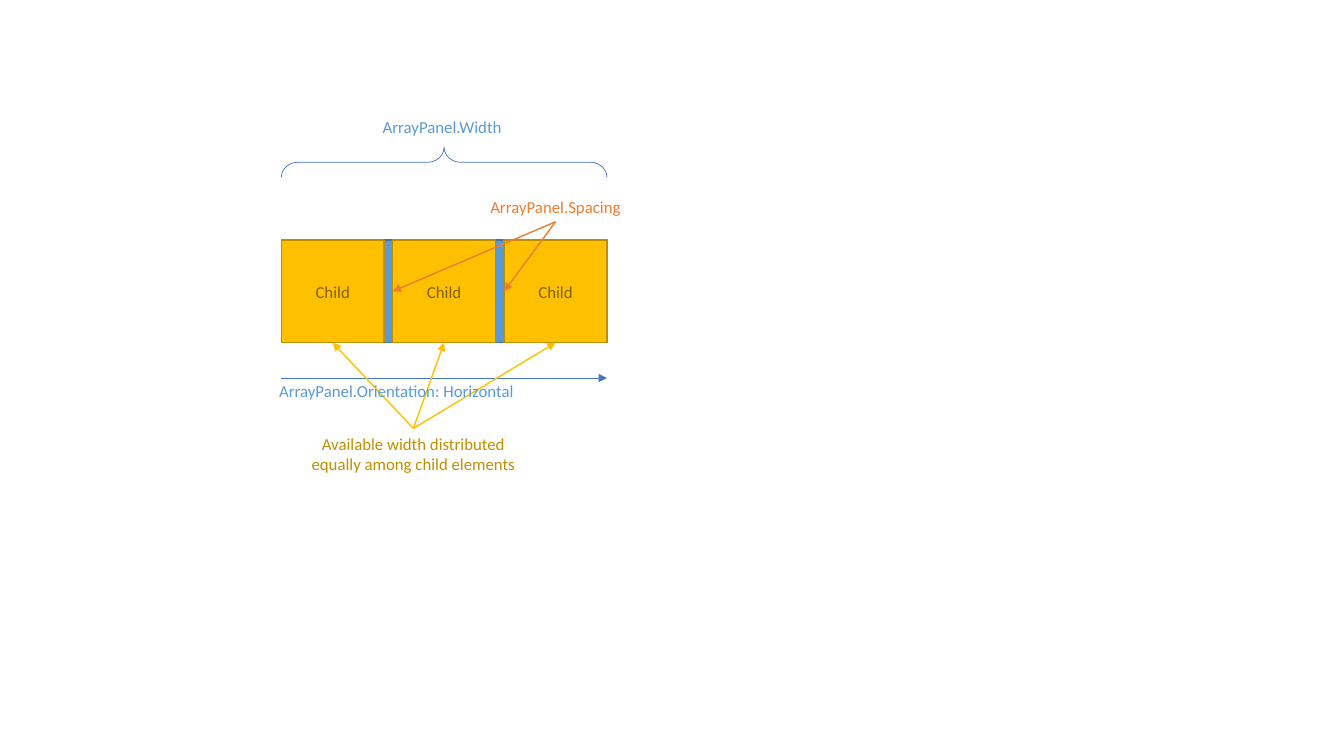
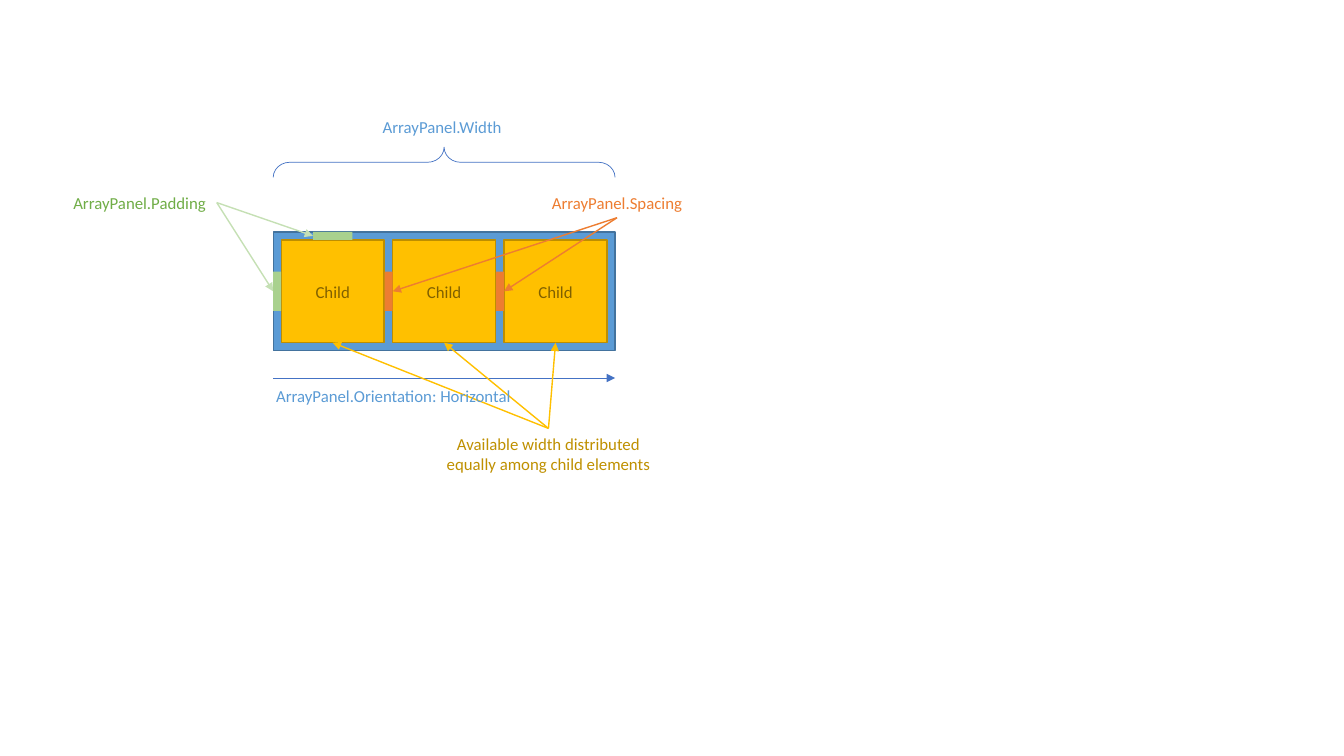
from pptx import Presentation
from pptx.dml.color import RGBColor
from pptx.enum.shapes import MSO_CONNECTOR as CONN, MSO_SHAPE as SHAPE
from pptx.enum.text import MSO_ANCHOR as ANCHOR, MSO_AUTO_SIZE as AUTO, PP_ALIGN as ALIGN
from pptx.oxml.xmlchemy import OxmlElement
from pptx.util import Inches, Pt

BLUE = RGBColor(0x5B, 0x9B, 0xD5)
BLUE_EDGE = RGBColor(0x43, 0x73, 0x9E)
AXIS = RGBColor(0x44, 0x72, 0xC4)
GOLD = RGBColor(0xFF, 0xC0, 0x00)
GOLD_EDGE = RGBColor(0xBD, 0x8E, 0x00)
GOLD_TEXT = RGBColor(0xBF, 0x90, 0x00)
BROWN = RGBColor(0x80, 0x60, 0x00)
ORANGE = RGBColor(0xED, 0x7D, 0x31)
GREEN = RGBColor(0x70, 0xAD, 0x47)
GREEN_PATCH = RGBColor(0xA9, 0xD1, 0x8E)
GREEN_LINE = RGBColor(0xC5, 0xE0, 0xB4)

CHILD, GAP, LEFT, TOP = 1.02, 0.085, 2.79, 2.38
CHILD_X = [LEFT + i * (CHILD + GAP) for i in range(3)]
ROW_W = 3 * CHILD + 2 * GAP
MIDDLE, BOTTOM = TOP + CHILD / 2, TOP + CHILD
PATCH, PATCH_W = 0.39, 0.08


def write(tf, text, color, align=ALIGN.CENTER, size=12, font="Calibri"):
    for i, line in enumerate(text.split("\n")):
        p = tf.paragraphs[0] if i == 0 else tf.add_paragraph()
        p.alignment = align
        r = p.add_run()
        r.text = line
        r.font.size, r.font.name, r.font.color.rgb = Pt(size), font, color


class Diagram:
    """Draws panel diagrams on the current slide in one shared style."""

    def __init__(self, prs):
        self.prs = prs
        self.s = None

    def new_slide(self):
        self.s = self.prs.slides.add_slide(self.prs.slide_layouts[6])

    def rect(self, x, y, w, h, fill, edge=None):
        sp = self.s.shapes.add_shape(SHAPE.RECTANGLE, Inches(x), Inches(y), Inches(w), Inches(h))
        sp.shadow.inherit = False
        sp.fill.solid()
        sp.fill.fore_color.rgb = fill
        if edge is None:
            sp.line.fill.background()
        else:
            sp.line.color.rgb, sp.line.width = edge, Pt(1)
        return sp

    def children(self):
        for x in CHILD_X:
            tf = self.rect(x, TOP, CHILD, CHILD, GOLD, GOLD_EDGE).text_frame
            tf.vertical_anchor = ANCHOR.MIDDLE
            write(tf, "Child", BROWN)

    def label(self, x, y, w, text, color, h=0.3, **fmt):
        tf = self.s.shapes.add_textbox(Inches(x), Inches(y), Inches(w), Inches(h)).text_frame
        tf.word_wrap = False
        tf.auto_size = AUTO.SHAPE_TO_FIT_TEXT
        write(tf, text, color, **fmt)

    def arrow(self, start, end, color, width=1):
        c = self.s.shapes.add_connector(CONN.STRAIGHT, *map(Inches, (*start, *end)))
        c.line.color.rgb, c.line.width = color, Pt(width)
        tail = OxmlElement("a:tailEnd")
        tail.set("type", "triangle")
        spPr = c.element.spPr
        spPr.get_or_add_ln().append(tail)
        spPr.append(OxmlElement("a:effectLst"))

    def brace(self, x, w, y=1.46, depth=0.3):
        center = x + w / 2
        sp = self.s.shapes.add_shape(SHAPE.RIGHT_BRACE, Inches(center - depth / 2),
                                     Inches(y + depth / 2 - w / 2), Inches(depth), Inches(w))
        sp.rotation = 270
        sp.adjustments[0], sp.adjustments[1] = 0.544, 0.5
        sp.shadow.inherit = False
        sp.fill.background()
        sp.line.color.rgb, sp.line.width = AXIS, Pt(0.5)

    def panel(self, pad, spacing_at):
        x, w = LEFT - pad, ROW_W + 2 * pad
        self.rect(x, TOP - pad, w, CHILD + 2 * pad, BLUE, BLUE_EDGE)
        self.children()
        self.arrow((x, 3.75), (x + w, 3.75), AXIS, 0.5)
        self.brace(x, w)
        self.label(3.69, 1.11, 1.39, "ArrayPanel.Width", BLUE)
        sx, sy = spacing_at
        self.label(sx - 0.75, sy - 0.3, 1.5, "ArrayPanel.Spacing", ORANGE)
        for cx in reversed(CHILD_X[1:]):
            self.arrow(spacing_at, (cx, MIDDLE), ORANGE)

    def padding(self, pad):
        x, y, start = LEFT - pad, TOP - pad, (2.15, 2.01)
        self.label(0.62, 1.86, 1.53, "ArrayPanel.Padding", GREEN)
        self.arrow(start, (x, MIDDLE), GREEN_LINE)
        for cx in CHILD_X[1:]:
            self.rect(cx - PATCH_W, MIDDLE - PATCH / 2, PATCH_W, PATCH, ORANGE)
        self.rect(x, MIDDLE - PATCH / 2, PATCH_W, PATCH, GREEN_PATCH)
        patch_x = LEFT + CHILD / 2 - PATCH / 2
        self.rect(patch_x, y, PATCH, PATCH_W, GREEN_PATCH)
        self.arrow(start, (patch_x, y + PATCH_W / 2), GREEN_LINE)

    def sharing(self, x, orientation_at):
        text = "Available width distributed\nequally among child elements"
        self.label(x - 1.12, 4.25, 2.24, text, GOLD_TEXT, h=0.5)
        for cx in CHILD_X:
            self.arrow((x, 4.25), (cx + CHILD / 2, BOTTOM), GOLD)
        self.label(*orientation_at, 2.55, "ArrayPanel.Orientation: Horizontal", BLUE, align=ALIGN.LEFT)


prs = Presentation()
prs.slide_width, prs.slide_height = Inches(13.33), Inches(7.5)
d = Diagram(prs)

d.new_slide()
d.panel(0, (5.51, 2.2))
d.sharing(4.1, (2.67, 3.73))

d.new_slide()
d.panel(0.08, (6.12, 2.16))
d.padding(0.08)
d.sharing(5.44, (2.64, 3.78))

prs.save("out.pptx")
